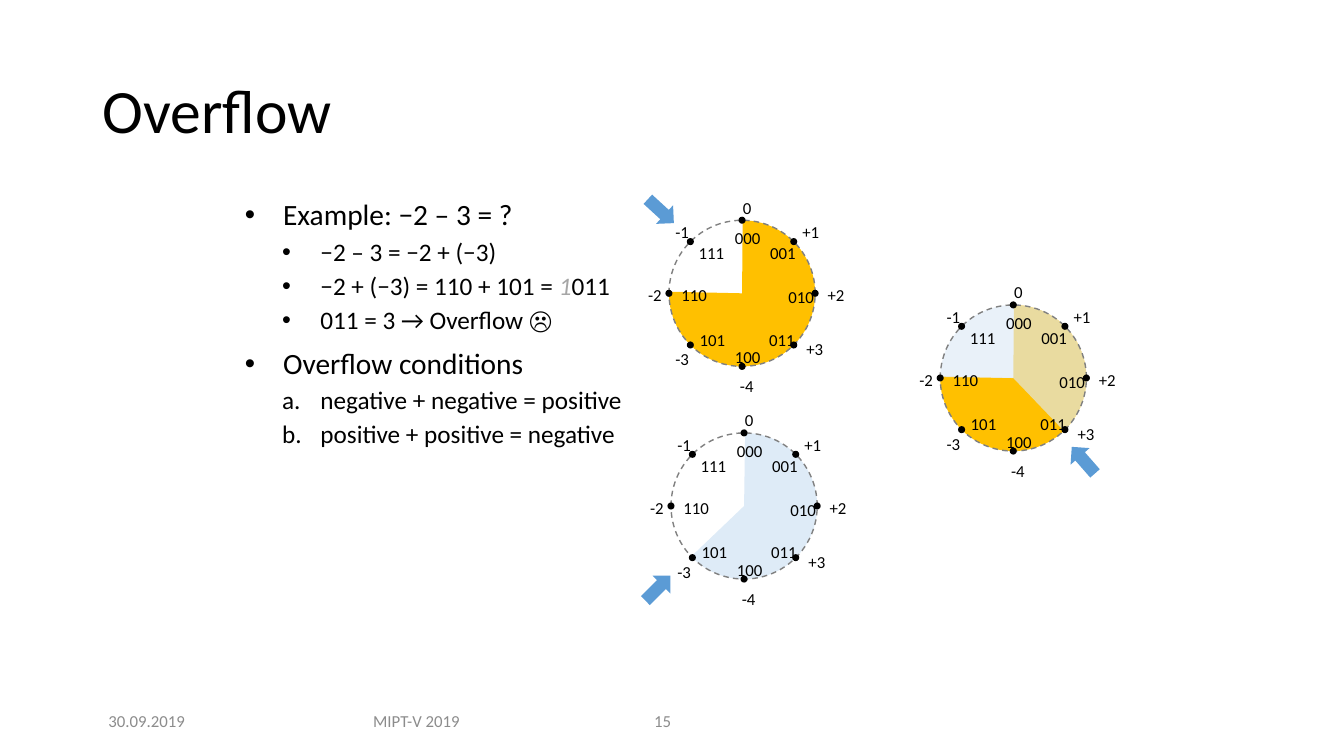
import math

from lxml import etree
from pptx import Presentation
from pptx.dml.color import RGBColor
from pptx.enum import shapes as kinds, text as txt
from pptx.oxml import ns
from pptx.util import Inches, Pt

BLACK = RGBColor(0x00, 0x00, 0x00)
FOOTER_GRAY = RGBColor(0x8C, 0x8C, 0x8C)
CARRY_GRAY = RGBColor(0xA6, 0xA6, 0xA6)
RIM_GRAY = RGBColor(0x80, 0x80, 0x80)
AMBER = RGBColor(0xFF, 0xC0, 0x00)
PALE_BLUE = RGBColor(0xDE, 0xEB, 0xF7)
ARROW_BLUE = RGBColor(0x5B, 0x9B, 0xD5)
FONT = "Calibri"
SHAPE = kinds.MSO_SHAPE


def add_text(parent, words, box, size, color=BLACK, wrap=True, anchor=txt.MSO_ANCHOR.MIDDLE):
    frame = parent.add_textbox(*map(Inches, box)).text_frame
    frame.word_wrap = wrap
    frame.vertical_anchor = anchor
    frame.text = words
    font = frame.paragraphs[0].runs[0].font
    font.name, font.size, font.color.rgb = FONT, Pt(size), color
    return frame.paragraphs[0]


def add_filled(parent, kind, box, color, rotation=0):
    filled = parent.add_shape(kind, *map(Inches, box))
    filled.shadow.inherit = False
    filled.fill.solid()
    filled.fill.fore_color.rgb = color
    filled.line.fill.background()
    filled.rotation = rotation
    return filled


prs = Presentation()
prs.slide_width, prs.slide_height = Inches(13.33), Inches(7.5)
slide = prs.slides.add_slide(prs.slide_layouts[6])

# Title
title = add_text(slide.shapes, "Overflow", (0.92, 0.4, 11.5, 1.45), 44)
title.line_spacing = 0.9

# Outline: level, bullet, runs
outline = [
    (0, "•", ["Example: −2 – 3 = ?"]),
    (1, "•", ["−2 – 3 = −2 + (−3)"]),
    (1, "•", ["−2 + (−3) = 110 + 101 = ", "1", "011"]),
    (1, "•", ["011 = 3 → Overflow ☹"]),
    (0, "•", ["Overflow conditions"]),
    (1, "a.", ["negative + negative = positive"]),
    (1, "a.", ["positive + positive = negative"]),
]
body = slide.shapes.add_textbox(Inches(2.33), Inches(1.94), Inches(4.01), Inches(4.21)).text_frame
body.word_wrap = True
for row, (level, bullet, pieces) in enumerate(outline):
    point = body.add_paragraph() if row else body.paragraphs[0]
    point.level = level
    point.line_spacing = 0.9
    point.space_before = Pt(5 if level else 10)
    for piece in pieces:
        run = point.add_run()
        run.text = piece
        run.font.name, run.font.size = FONT, Pt(18 if level else 21)
        run.font.color.rgb = BLACK
        if piece == "1":  # discarded carry bit
            run.font.italic = True
            run.font.color.rgb = CARRY_GRAY
    props = point._p.get_or_add_pPr()
    props.set("marL", str(Inches(0.75 if level else 0.38)))
    props.set("indent", str(Inches(-0.38)))
    if bullet == "•":
        etree.SubElement(props, ns.qn("a:buFont"), typeface="Arial")
        etree.SubElement(props, ns.qn("a:buChar"), char=bullet)
    else:
        etree.SubElement(props, ns.qn("a:buAutoNum"), type="alphaLcPeriod")

# Number wheels: clockwise from the top, label corners relative to the centre
RADIUS, DOT = 0.725, 0.07
codes = [("000", -0.17, -0.7), ("001", 0.18, -0.55), ("010", 0.36, -0.11), ("011", 0.17, 0.31),
         ("100", -0.17, 0.48), ("101", -0.52, 0.31), ("110", -0.7, -0.13), ("111", -0.53, -0.55)]
values = [("0", -0.09, -1), ("+1", 0.5, -0.76), ("+2", 0.75, -0.13), ("+3", 0.54, 0.4),
          ("-4", -0.12, 0.77), ("-3", -0.76, 0.5), ("-2", -1.03, -0.13), ("-1", -0.76, -0.76)]
label_widths = {"0": 0.46, "1": 0.46, "+": 0.37, "-": 0.34}

# Centre, sectors (start, end, colour, rotation, opacity %), arrow (left, top, rotation)
minus_two = (270.5, 181.3, AMBER, 0, 100)
minus_three = (270.8, 136.3, PALE_BLUE, 0, 100)
wheels = [
    ((7.36, 2.91), [minus_two], (6.43, 1.92, 312.5)),
    ((7.38, 5.02), [minus_three], (6.4, 5.66, 225.2)),
    ((10.05, 3.75), [minus_two, (*minus_three[:3], 270, 65)], (10.62, 4.39, 138.8)),
]
for (cx, cy), sectors, (arrow_x, arrow_y, arrow_turn) in wheels:
    wheel = slide.shapes.add_group_shape().shapes
    disc = (cx - RADIUS, cy - RADIUS, 2 * RADIUS, 2 * RADIUS)
    for start, end, color, turn, opacity in sectors:
        sector = add_filled(wheel, SHAPE.PIE, disc, color, turn)
        sector.adjustments[0] = start * 0.6
        sector.adjustments[1] = end * 0.6
        if opacity < 100:
            tint = sector._element.spPr.find(".//" + ns.qn("a:srgbClr"))
            etree.SubElement(tint, ns.qn("a:alpha"), val=str(opacity * 1000))

    rim = wheel.add_shape(SHAPE.OVAL, *map(Inches, disc))
    rim.shadow.inherit = False
    rim.fill.background()
    rim.line.color.rgb = RIM_GRAY
    rim.line.width = Pt(1)
    rim.line.dash_style = 4  # dash

    for step in range(8):
        angle = math.radians(45 * step)
        dot_x = cx + RADIUS * math.sin(angle) - DOT / 2
        dot_y = cy - RADIUS * math.cos(angle) - DOT / 2
        add_filled(wheel, SHAPE.OVAL, (dot_x, dot_y, DOT, DOT), BLACK)
    for label, dx, dy in codes + values:
        width = 0.29 if label == "0" else label_widths[label[0]]
        add_text(wheel, label, (cx + dx, cy + dy, width, 0.3), 12,
                 wrap=False, anchor=txt.MSO_ANCHOR.TOP)
    add_filled(wheel, SHAPE.DOWN_ARROW, (arrow_x, arrow_y, 0.25, 0.35), ARROW_BLUE, arrow_turn)

# Footer
footer = [("30.09.2019", 0.92, 1.07, txt.PP_ALIGN.CENTER),
          ("MIPT-V 2019", 3.34, 1.58, txt.PP_ALIGN.CENTER),
          ("15", 6.39, 0.79, txt.PP_ALIGN.LEFT)]
for words, left, width, align in footer:
    add_text(slide.shapes, words, (left, 6.95, width, 0.4), 12, FOOTER_GRAY).alignment = align

prs.save("out.pptx")
